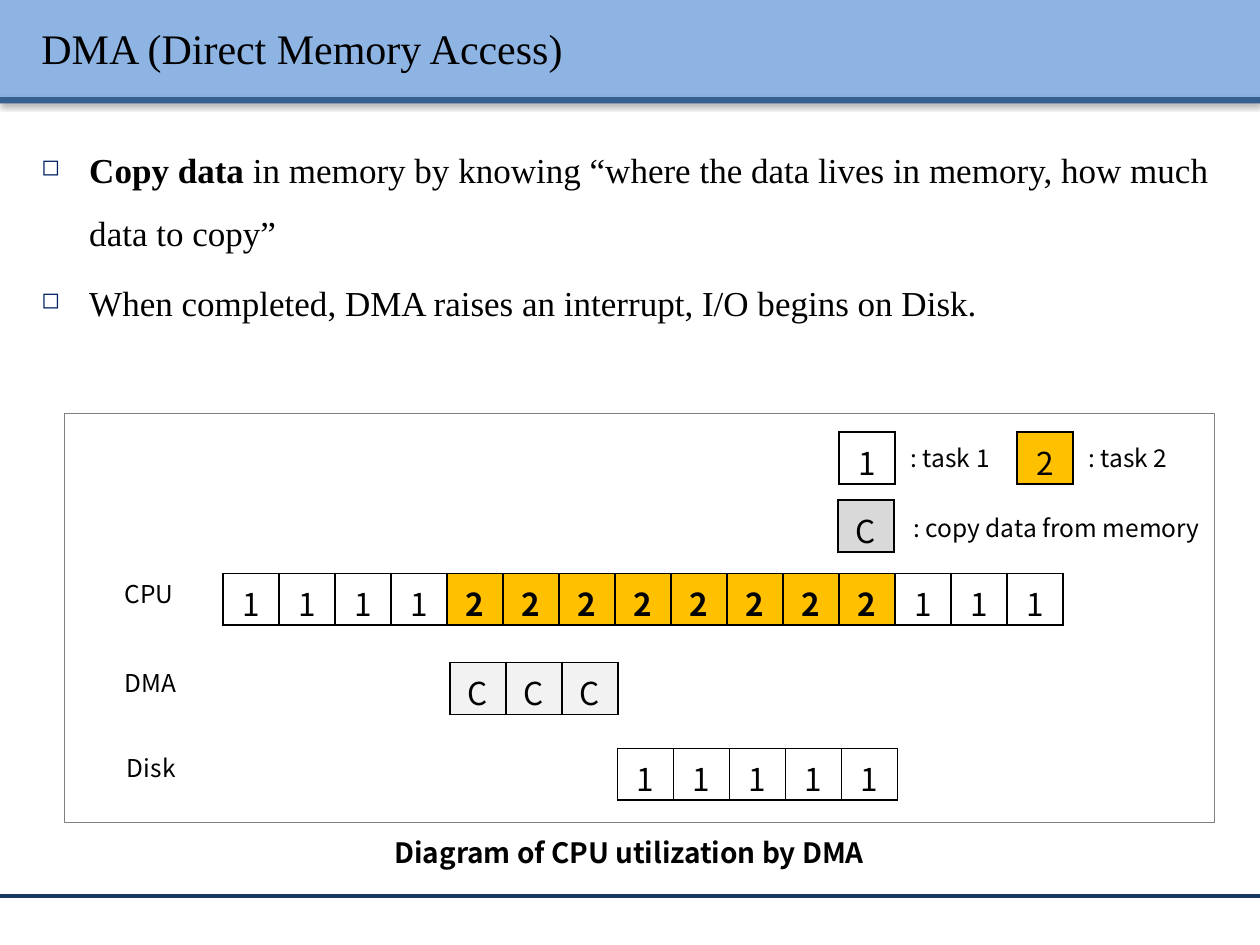
from lxml import etree
from pptx import Presentation
from pptx.dml.color import RGBColor
from pptx.enum.shapes import MSO_CONNECTOR, MSO_SHAPE
from pptx.enum.text import MSO_ANCHOR, PP_ALIGN
from pptx.oxml import parse_xml
from pptx.oxml.ns import nsdecls, qn
from pptx.util import Inches, Pt

RECTANGLE = MSO_SHAPE.RECTANGLE
STRAIGHT = MSO_CONNECTOR.STRAIGHT
LEFT, CENTER = PP_ALIGN.LEFT, PP_ALIGN.CENTER
TOP, MIDDLE = MSO_ANCHOR.TOP, MSO_ANCHOR.MIDDLE

SERIF, SANS = "Times New Roman", "Noto Sans CJK KR"
BLACK, ORANGE = "000000", "FFC000"
CELL_WIDTH, CELL_HEIGHT = 6.67 / 15, 0.41
SHADOW = (38, 3.1, 1.6)
TITLE_SHADOW = (100, 0, 1.2)

TITLE = "DMA (Direct Memory Access)"
BULLETS = [
    [("Copy data ", True),
     ("in memory by knowing “where the data lives in memory, how much data to copy”", False)],
    [("When completed, DMA raises an interrupt, I/O begins on Disk.", False)],
]
CAPTION = "Diagram of CPU utilization by DMA"
BARS = [(0, 0.77, "8EB4E3"), (0.77, 0.05, "376092")]
TASK_1, TASK_2 = ("1", None, False), ("2", ORANGE, True)
COPY = ("C", "F2F2F2", False)
TIMELINES = [
    (1.77, 4.55, [TASK_1] * 4 + [TASK_2] * 8 + [TASK_1] * 3, 0.05),
    (3.57, 5.26, [COPY] * 3, 0),
    (4.9, 5.94, [TASK_1] * 5, 0),
]
LEGEND = [
    (6.66, 3.43, [TASK_1], 0),
    (8.07, 3.43, [("2", ORANGE, False)], 0),
    (6.65, 3.97, [("C", "D9D9D9", False)], 0),
]
LABELS = [
    ("CPU", 0.89, 4.55, 0.8),
    ("DMA", 0.89, 5.25, 0.8),
    ("Disk", 0.91, 5.93, 0.8),
    (": task 1", 7.13, 3.47, 1.34),
    (": task 2", 8.54, 3.47, 0.87),
    (": copy data from memory", 7.15, 4.02, 2.66),
]


def color(value):
    return RGBColor.from_string(value)


def add_shadow(effects, alpha, blur, distance):
    effects.append(parse_xml(
        f'<a:outerShdw {nsdecls("a")} blurRad="{Pt(blur)}" dist="{Pt(distance)}" '
        f'dir="5400000" rotWithShape="0"><a:srgbClr val="{BLACK}">'
        f'<a:alpha val="{alpha * 1000}"/></a:srgbClr></a:outerShdw>'))


def add_rectangle(slide, left, top, width, height):
    shape = slide.shapes.add_shape(
        RECTANGLE, Inches(left), Inches(top), Inches(width), Inches(height))
    shape.shadow.inherit = False
    return shape


def add_run(paragraph, text, size, name, bold=False):
    run = paragraph.add_run()
    run.text = text
    run.font.size = Pt(size)
    run.font.name = name
    run.font.bold = bold
    run.font.color.rgb = color(BLACK)
    properties = run.font._element
    east_asian = etree.SubElement(properties, qn("a:ea"))
    east_asian.set("typeface", name)
    return run


def add_text_box(slide, left, top, width, height, anchor=TOP):
    box = slide.shapes.add_textbox(Inches(left), Inches(top), Inches(width), Inches(height))
    box.text_frame.word_wrap = True
    box.text_frame.vertical_anchor = anchor
    return box.text_frame


def add_label(slide, text, left, top, width, height=0.34, size=14, bold=False, align=LEFT):
    paragraph = add_text_box(slide, left, top, width, height).paragraphs[0]
    paragraph.alignment = align
    add_run(paragraph, text, size, SANS, bold)


def add_title(slide):
    frame = add_text_box(slide, 0.23, 0.06, 9.61, 0.64, MIDDLE)
    run = add_run(frame.paragraphs[0], TITLE, 24, SERIF)
    effects = etree.Element(qn("a:effectLst"))
    run.font._element.find(qn("a:solidFill")).addnext(effects)
    add_shadow(effects, *TITLE_SHADOW)


def add_bullets(slide):
    frame = add_text_box(slide, 0.23, 0.96, 9.61, 2.1)
    for index, runs in enumerate(BULLETS):
        paragraph = frame.add_paragraph() if index else frame.paragraphs[0]
        paragraph.line_spacing = 1.5
        if index:
            paragraph.space_before = Pt(4)
        properties = paragraph._p.get_or_add_pPr()
        properties.set("marL", str(Inches(0.38)))
        properties.set("indent", str(-Inches(0.38)))
        for xml in (f'<a:buClr {nsdecls("a")}><a:srgbClr val="002060"/></a:buClr>',
                    f'<a:buSzPct {nsdecls("a")} val="65000"/>',
                    f'<a:buChar {nsdecls("a")} char="◻"/>'):
            properties.append(parse_xml(xml))
        for text, bold in runs:
            add_run(paragraph, text, 20, SERIF, bold)


def add_cells(slide, left, top, cells, bottom_margin):
    table = slide.shapes.add_table(
        1, len(cells), Inches(left), Inches(top),
        Inches(CELL_WIDTH * len(cells)), Inches(CELL_HEIGHT)).table
    table.first_row = False
    table.horz_banding = False
    for column, (text, fill, bold) in enumerate(cells):
        table.columns[column].width = Inches(CELL_WIDTH)
        cell = table.cell(0, column)
        cell.margin_left = cell.margin_right = cell.margin_top = Inches(0.05)
        cell.margin_bottom = Inches(bottom_margin)
        for side in "LRTB":
            cell._tc.get_or_add_tcPr().append(parse_xml(
                f'<a:ln{side} {nsdecls("a")} w="{Pt(1)}"><a:solidFill>'
                f'<a:srgbClr val="{BLACK}"/></a:solidFill></a:ln{side}>'))
        if fill:
            cell.fill.solid()
            cell.fill.fore_color.rgb = color(fill)
        else:
            cell.fill.background()
        paragraph = cell.text_frame.paragraphs[0]
        paragraph.alignment = CENTER
        add_run(paragraph, text, 18, SANS, bold)


def main():
    presentation = Presentation()
    presentation.slide_width, presentation.slide_height = Inches(10), Inches(7.5)
    slide = presentation.slides.add_slide(presentation.slide_layouts[6])

    for top, height, fill in BARS:
        bar = add_rectangle(slide, 0, top, 10, height)
        bar.fill.solid()
        bar.fill.fore_color.rgb = color(fill)
        bar.line.fill.background()
        add_shadow(bar._element.spPr.find(qn("a:effectLst")), *SHADOW)

    footer = slide.shapes.add_connector(STRAIGHT, 0, Inches(7.11), Inches(10), Inches(7.11))
    footer.line.color.rgb = color("17375E")
    footer.line.width = Pt(2)
    etree.SubElement(footer._element.spPr, qn("a:effectLst"))

    add_title(slide)
    add_bullets(slide)

    frame = add_rectangle(slide, 0.51, 3.28, 9.13, 3.25)
    frame.fill.background()
    frame.line.color.rgb = color("808080")
    frame.line.width = Pt(0.75)

    for row in TIMELINES + LEGEND:
        add_cells(slide, *row)
    for label in LABELS:
        add_label(slide, *label)
    add_label(slide, CAPTION, 2.32, 6.58, 5.35, 0.37, 16, True, CENTER)

    presentation.save("out.pptx")


if __name__ == "__main__":
    main()
